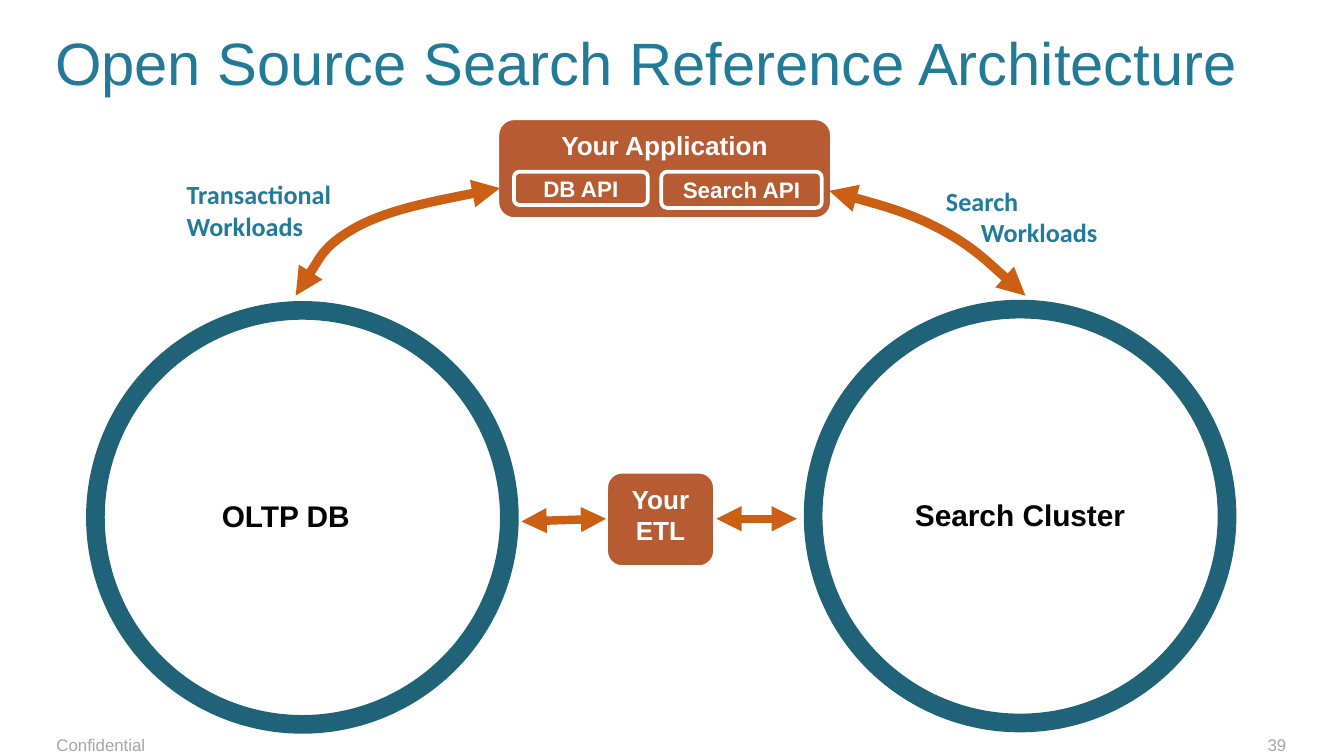
from dataclasses import dataclass

from lxml import etree
from pptx import Presentation
from pptx.dml.color import RGBColor
from pptx.enum.shapes import MSO_CONNECTOR, MSO_SHAPE
from pptx.enum.text import MSO_ANCHOR, PP_ALIGN
from pptx.oxml.ns import qn
from pptx.util import Inches, Pt

LEFT, CENTER, RIGHT = PP_ALIGN.LEFT, PP_ALIGN.CENTER, PP_ALIGN.RIGHT
TOP, MIDDLE = MSO_ANCHOR.TOP, MSO_ANCHOR.MIDDLE
ROUNDED, ELLIPSE = MSO_SHAPE.ROUNDED_RECTANGLE, MSO_SHAPE.OVAL
STRAIGHT = MSO_CONNECTOR.STRAIGHT

SLIDE_WIDTH = Inches(10)
SLIDE_HEIGHT = SLIDE_WIDTH * 9 // 16
COLUMN, ROW = SLIDE_WIDTH / 100, SLIDE_HEIGHT / 56.25


@dataclass(frozen=True)
class Style:
    size: float
    color: str
    bold: bool = False
    font: str = "Arial"


class Theme:
    ring, block, white, arrow = "206378", "B65B32", "FFFFFF", "CB6015"
    ring_line, block_line, curve_line, link_line = 10, 2, 5, 4.5
    title = Style(32, "237A97")
    footer = Style(9, "A6A6A6")
    system = Style(16, "000000", True)
    block_text = Style(14, white, True)
    api_text = Style(12, white, True)
    workload = Style(14, "217B99", True, "Calibri")


@dataclass(frozen=True)
class Box:
    """An area measured in grid columns and rows."""
    x: float
    y: float
    w: float
    h: float

    def emu(self):
        return (round(self.x * COLUMN), round(self.y * ROW),
                round(self.w * COLUMN), round(self.h * ROW))

    def point(self, across, down):
        return (round((self.x + across * self.w) * COLUMN),
                round((self.y + down * self.h) * ROW))

    def inner(self, across, down, wide, high):
        return Box(self.x + across * self.w, self.y + down * self.h,
                   wide * self.w, high * self.h)


def write(frame, lines, style, align=LEFT, anchor=TOP, margins=(0.1, 0.05, 0.1, 0.05)):
    frame.word_wrap = True
    frame.vertical_anchor = anchor
    (frame.margin_left, frame.margin_top,
     frame.margin_right, frame.margin_bottom) = map(Inches, margins)
    for index, line in enumerate(lines):
        para = frame.add_paragraph() if index else frame.paragraphs[0]
        para.text = line
        para.alignment = align
        para.font.name = style.font
        para.font.size = Pt(style.size)
        para.font.bold = style.bold
        para.font.color.rgb = RGBColor.from_string(style.color)


def add_text(page, box, lines, style, **options):
    frame = page.shapes.add_textbox(*box.emu()).text_frame
    write(frame, lines, style, **options)
    return frame


def set_line(line, color, width):
    line.color.rgb = RGBColor.from_string(color)
    line.width = Pt(width)


def add_block(page, box, lines, style, anchor=TOP):
    block = page.shapes.add_shape(ROUNDED, *box.emu())
    block.shadow.inherit = False
    block.fill.solid()
    block.fill.fore_color.rgb = RGBColor.from_string(Theme.block)
    set_line(block.line, Theme.white, Theme.block_line)
    write(block.text_frame, lines, style, align=CENTER, anchor=anchor)


def style_arrow(arrow, width):
    """Colour a line and put a triangle on both ends."""
    set_line(arrow.line, Theme.arrow, width)
    outline = arrow.line._get_or_add_ln()
    for end in ("a:headEnd", "a:tailEnd"):
        etree.SubElement(outline, qn(end), type="triangle")


def add_link(page, box):
    link = page.shapes.add_connector(STRAIGHT, *box.point(0, 0), *box.point(1, 1))
    style_arrow(link, Theme.link_line)
    etree.SubElement(link._element.spPr, qn("a:effectLst"))


def add_curve(page, box, shares):
    """Draw a Bezier arrow: a start point, then three points for each curve."""
    start, *rest = [box.point(*share) for share in shares]
    builder = page.shapes.build_freeform(*start, scale=1.0)
    builder.add_line_segments(rest, close=False)
    curve = builder.convert_to_shape()
    curve.shadow.inherit = False
    curve.fill.background()
    style_arrow(curve, Theme.curve_line)
    segments = list(curve._element.iter(qn("a:lnTo")))
    outline = segments[0].getparent()
    for first in range(0, len(segments), 3):
        bezier = etree.SubElement(outline, qn("a:cubicBezTo"))
        for segment in segments[first:first + 3]:
            bezier.append(segment[0])
            outline.remove(segment)


def add_system(page, box, name, label_left):
    add_text(page, box.inner(label_left, 0.44, 1, 0.13), [name], Theme.system,
             align=CENTER, margins=(0.08, 0.04, 0.08, 0.04))
    ring = page.shapes.add_shape(ELLIPSE, *box.emu())
    ring.shadow.inherit = False
    ring.fill.background()
    set_line(ring.line, Theme.ring, Theme.ring_line)


def add_application(page, box):
    add_block(page, box, ["Your Application"], Theme.block_text)
    add_block(page, box.inner(0.05, 0.53, 0.4, 0.33), ["DB API"], Theme.api_text, MIDDLE)
    add_block(page, box.inner(0.49, 0.53, 0.48, 0.36), ["Search API"], Theme.api_text, MIDDLE)


def add_workloads(page, box, kind, indent=0):
    frame = add_text(page, box, [kind, "Workloads"], Theme.workload)
    frame.paragraphs[1]._p.get_or_add_pPr().set("marL", str(Inches(indent)))


def add_etl(page, box):
    add_block(page, box, ["Your", "ETL"], Theme.block_text)
    add_link(page, Box(box.x + box.w + 0.1, 38.6, 6, 0))
    add_link(page, Box(38.8, 38.8, box.x - 38.8, -0.2))


def add_footer(page, box):
    add_text(page, box.inner(0, 0, 0.42, 1), ["Confidential"], Theme.footer,
             margins=(0, 0, 0.1, 0))
    add_text(page, box.inner(0.76, 0, 0.24, 1), ["39"], Theme.footer,
             align=RIGHT, margins=(0, 0, 0, 0))


def main():
    deck = Presentation()
    deck.slide_width, deck.slide_height = SLIDE_WIDTH, SLIDE_HEIGHT
    page = deck.slides.add_slide(deck.slide_layouts[6])
    add_footer(page, Box(4.2, 54.7, 91.5, 3))
    add_system(page, Box(7.1, 23.1, 30.8, 30.8), "OLTP DB", -0.04)
    add_system(page, Box(60.5, 23, 30.8, 30.8), "Search Cluster", 0)
    add_application(page, Box(37, 8.8, 24.9, 7.5))
    add_curve(page, Box(61.7, 14.2, 14.6, 7.8),
              [(0, 0), (0.2, 0.1), (0.41, 0.21), (0.57, 0.37), (0.74, 0.54), (1, 1), (1, 1)])
    add_curve(page, Box(22, 14, 15.2, 8),
              [(1, 0), (0.73, 0.1), (0.46, 0.2), (0.3, 0.36), (0.13, 0.54), (0, 1), (0, 1)])
    add_etl(page, Box(45.1, 35.1, 8.1, 7.1))
    add_workloads(page, Box(12.9, 12.8, 14.8, 5.7), "Transactional")
    add_workloads(page, Box(69.4, 13.3, 15, 5.7), "Search", indent=0.26)
    add_text(page, Box(4.1, 1.9, 90, 7.5), ["Open Source Search Reference Architecture"],
             Theme.title, margins=(0, 0, 0.1, 0))
    deck.save("out.pptx")


if __name__ == "__main__":
    main()
